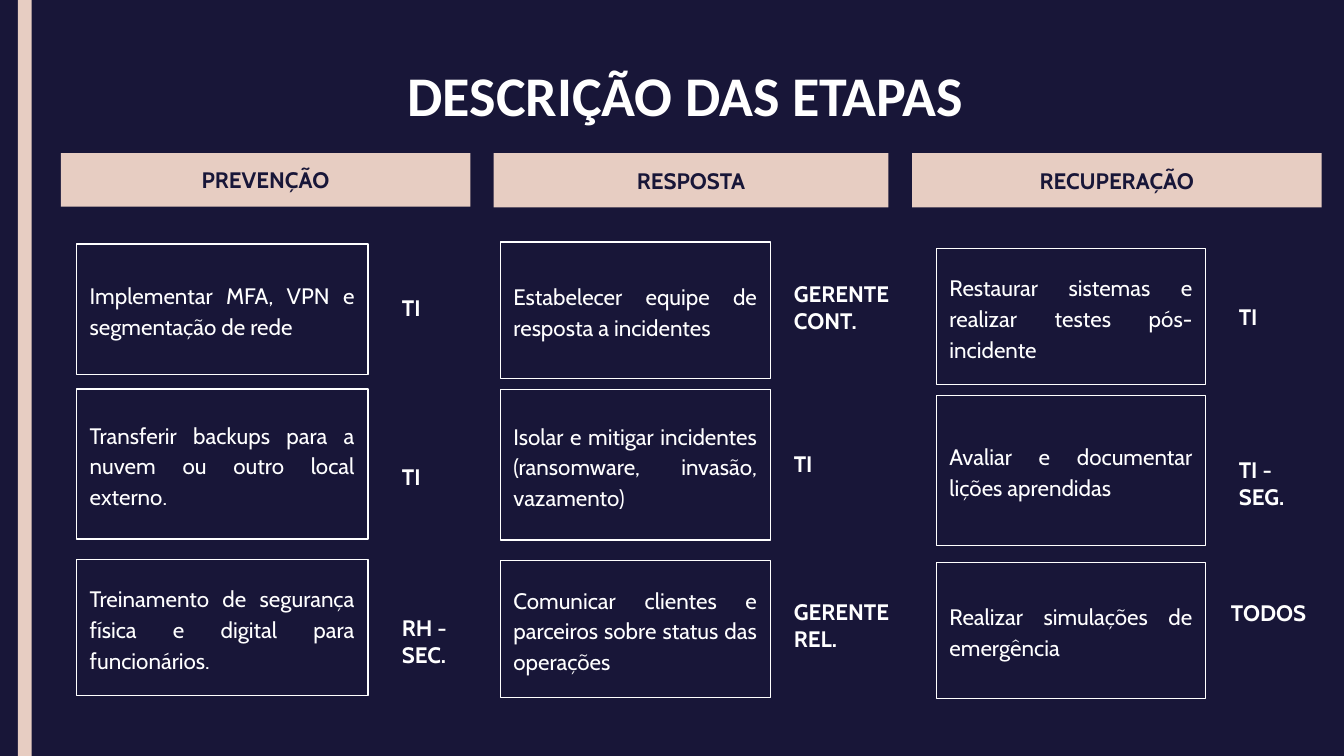
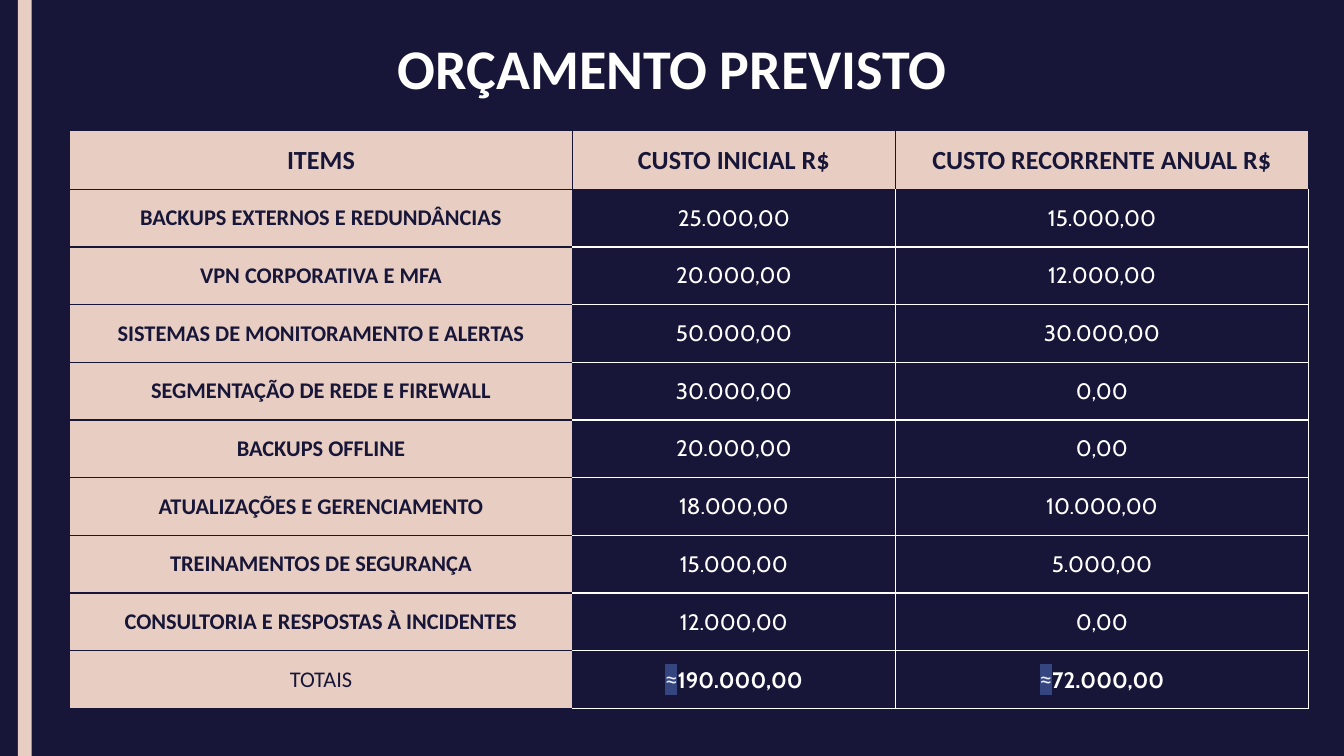
import lxml.etree
import pptx
import pptx.dml.color
import pptx.enum.shapes
import pptx.enum.text
import pptx.oxml.ns
import pptx.util

Pt = pptx.util.Pt
ALIGN = pptx.enum.text.PP_ALIGN
ANCHOR = pptx.enum.text.MSO_ANCHOR

NAVY, SAND, WHITE = "181638", "E7CDC2", "FFFFFF"
PALE, HIGHLIGHT = "EEF0FF", "34457F"
HEADING_FONT, BODY_FONT = "Calibri", "Cabin"
LINE_WIDTH = 0.75
LABEL_WIDTH = 46

# Step: text, top, height, then owner, label left shift, label top, label width
STAGES = [
    {"name": "PREVENÇÃO", "header": (32.6, 82, 219.4, 28.8),
     "box_left": 41, "box_width": 156.2, "label_left": 208.2,
     "steps": [
         ("Implementar MFA, VPN e segmentação de rede", 130.8, 70,
          "TI", 0, 150.4, LABEL_WIDTH),
         ("Transferir backups para a nuvem ou outro local externo.", 208.4, 80.4,
          "TI", 0, 241, LABEL_WIDTH),
         ("Treinamento de segurança física e digital para funcionários.", 299.8, 72.8,
          "RH - SEC.", 0, 322, LABEL_WIDTH)]},
    {"name": "RESPOSTA", "header": (264.4, 82, 211.6, 29.2),
     "box_left": 268, "box_width": 144.8, "label_left": 418.2,
     "steps": [
         ("Estabelecer equipe de resposta a incidentes", 129.6, 73.2,
          "GERENTE\nCONT.", 0, 142.8, 70.6),
         ("Isolar e mitigar incidentes (ransomware, invasão, vazamento)", 208.8, 80.6,
          "TI", 0, 234, LABEL_WIDTH),
         ("Comunicar clientes e parceiros sobre status das operações", 300.4, 73.2,
          "GERENTE\nREL.", 0, 313.2, 70.6)]},
    {"name": "RECUPERAÇÃO", "header": (488.6, 82, 219.4, 29.2),
     "box_left": 501.6, "box_width": 144.4, "label_left": 656.6,
     "steps": [
         ("Restaurar sistemas e realizar testes pós-incidente", 133, 73.2,
          "TI", 0, 155, LABEL_WIDTH),
         ("Avaliar e documentar lições aprendidas", 211.8, 80.4,
          "TI -\nSEG.", 0, 237.4, LABEL_WIDTH),
         ("Realizar simulações de emergência", 301.2, 73,
          "TODOS", -4.2, 314, 62.6)]},
]

BUDGET = [
    ("ITEMS", "CUSTO INICIAL R$", "CUSTO RECORRENTE ANUAL R$"),
    ("BACKUPS EXTERNOS E REDUNDÂNCIAS", "25.000,00", "15.000,00"),
    ("VPN CORPORATIVA E MFA", "20.000,00", "12.000,00"),
    ("SISTEMAS DE MONITORAMENTO E ALERTAS", "50.000,00", "30.000,00"),
    ("SEGMENTAÇÃO DE REDE E FIREWALL", "30.000,00", "0,00"),
    ("BACKUPS OFFLINE", "20.000,00", "0,00"),
    ("ATUALIZAÇÕES E GERENCIAMENTO", "18.000,00", "10.000,00"),
    ("TREINAMENTOS DE SEGURANÇA", "15.000,00", "5.000,00"),
    ("CONSULTORIA E RESPOSTAS À INCIDENTES", "12.000,00", "0,00"),
    ("TOTAIS", "190.000,00", "72.000,00"),
]
BUDGET_LEFT, BUDGET_TOP = 37.4, 70
BUDGET_COLUMNS = (269.2, 173.2, 221.2)
BUDGET_ROW = 30.9


def rgb(color):
    return pptx.dml.color.RGBColor.from_string(color)


def style_run(r, size, font, color, bold=False):
    r.font.size = Pt(size)
    r.font.name = font
    r.font.bold = bold
    r.font.color.rgb = rgb(color)


def write(tf, text, size, font, color, bold=False, align=ALIGN.LEFT, spacing=1.0):
    """Fill the first paragraph; a newline in the text is a line break."""
    p = tf.paragraphs[0]
    p.text = text
    p.alignment = align
    p.line_spacing = spacing
    for r in p.runs:
        style_run(r, size, font, color, bold)


def set_frame(tf, anchor, vertical_margin):
    tf.word_wrap = True
    tf.auto_size = pptx.enum.text.MSO_AUTO_SIZE.NONE
    tf.vertical_anchor = anchor
    tf.margin_left = tf.margin_right = Pt(7.2)
    tf.margin_top = tf.margin_bottom = Pt(vertical_margin)


def add_rect(slide, left, top, width, height, fill=None, line=None):
    sp = slide.shapes.add_shape(pptx.enum.shapes.MSO_SHAPE.RECTANGLE,
                                Pt(left), Pt(top), Pt(width), Pt(height))
    sp.shadow.inherit = False
    if fill:
        sp.fill.solid()
        sp.fill.fore_color.rgb = rgb(fill)
    else:
        sp.fill.background()
    if line:
        sp.line.color.rgb = rgb(line)
        sp.line.width = Pt(LINE_WIDTH)
    else:
        sp.line.fill.background()
    set_frame(sp.text_frame, ANCHOR.MIDDLE, 1.4)
    return sp


def add_slide(prs, title, left, top, width):
    """Add a slide with the side band and a centred title."""
    slide = prs.slides.add_slide(prs.slide_layouts[5])
    add_rect(slide, 9.6, 0, 7.4, 405, fill=SAND)
    sp = slide.shapes.title
    sp.left, sp.top, sp.width, sp.height = Pt(left), Pt(top), Pt(width), Pt(45.4)
    set_frame(sp.text_frame, ANCHOR.TOP, 7.2)
    write(sp.text_frame, title, 30, HEADING_FONT, WHITE, True, ALIGN.CENTER)
    return slide


def add_label(slide, text, left, top, width):
    height = 43 if "\n" in text or " " in text else 29
    sp = slide.shapes.add_textbox(Pt(left), Pt(top), Pt(width), Pt(height))
    set_frame(sp.text_frame, ANCHOR.TOP, 7.2)
    write(sp.text_frame, text, 12, BODY_FONT, WHITE, True)


def add_stage(slide, stage):
    header = add_rect(slide, *stage["header"], fill=SAND)
    write(header.text_frame, stage["name"], 12, BODY_FONT, NAVY, True, ALIGN.CENTER)
    for text, top, height, owner, shift, label_top, label_width in stage["steps"]:
        box = add_rect(slide, stage["box_left"], top, stage["box_width"], height,
                       line=WHITE)
        write(box.text_frame, text, 12, BODY_FONT, WHITE,
              align=ALIGN.JUSTIFY, spacing=1.15)
        add_label(slide, owner, stage["label_left"] + shift, label_top, label_width)


def add_color_element(parent, tag, color):
    child = lxml.etree.SubElement(parent, pptx.oxml.ns.qn(tag))
    lxml.etree.SubElement(child, pptx.oxml.ns.qn("a:srgbClr"), val=color)
    return child


def set_borders(cell, left, right, top, bottom):
    tc_pr = cell._tc.get_or_add_tcPr()
    for i, (side, color) in enumerate(zip("LRTB", (left, right, top, bottom))):
        ln = lxml.etree.Element(pptx.oxml.ns.qn("a:ln" + side),
                                w=str(Pt(LINE_WIDTH)))
        add_color_element(ln, "a:solidFill", color)
        tc_pr.insert(i, ln)


def write_total(tf, amount):
    """Write an amount after a highlighted approximation sign."""
    write(tf, "≈", 13.5, HEADING_FONT, PALE, align=ALIGN.CENTER)
    p = tf.paragraphs[0]
    r_pr = p.runs[0]._r.get_or_add_rPr()
    highlight = add_color_element(r_pr, "a:highlight", HIGHLIGHT)
    r_pr.find(pptx.oxml.ns.qn("a:solidFill")).addnext(highlight)
    r = p.add_run()
    r.text = amount
    style_run(r, 12, BODY_FONT, WHITE, True)


def add_budget(slide):
    table = slide.shapes.add_table(
        len(BUDGET), len(BUDGET_COLUMNS), Pt(BUDGET_LEFT), Pt(BUDGET_TOP),
        Pt(sum(BUDGET_COLUMNS)), Pt(BUDGET_ROW * len(BUDGET))).table
    table.first_row = table.horz_banding = False
    for column, width in zip(table.columns, BUDGET_COLUMNS):
        column.width = Pt(width)
    last = len(BUDGET) - 1
    for i, values in enumerate(BUDGET):
        table.rows[i].height = Pt(BUDGET_ROW)
        for j, value in enumerate(values):
            cell = table.cell(i, j)
            cell.vertical_anchor = ANCHOR.MIDDLE
            cell.margin_left = cell.margin_right = Pt(7.2)
            cell.margin_top = cell.margin_bottom = Pt(7.2)
            if i == 0 or j == 0:
                cell.fill.solid()
                cell.fill.fore_color.rgb = rgb(SAND)
                set_borders(cell, NAVY, NAVY, NAVY, NAVY)
                write(cell.text_frame, value, 14 if i == 0 else 12, HEADING_FONT,
                      NAVY, i != last, ALIGN.CENTER)
                continue
            cell.fill.background()
            set_borders(cell, NAVY if j == 1 else WHITE, WHITE,
                        NAVY if i == 1 else WHITE, WHITE)
            if i == last:
                write_total(cell.text_frame, value)
            else:
                write(cell.text_frame, value, 12, BODY_FONT, WHITE,
                      align=ALIGN.CENTER)


def main():
    prs = pptx.Presentation()
    prs.slide_width, prs.slide_height = Pt(720), Pt(405)
    background = prs.slide_master.background.fill
    background.solid()
    background.fore_color.rgb = rgb(NAVY)

    stages_slide = add_slide(prs, "DESCRIÇÃO DAS ETAPAS", 38.6, 25.2, 657.4)
    for stage in STAGES:
        add_stage(stages_slide, stage)

    add_budget(add_slide(prs, "ORÇAMENTO PREVISTO", 56.6, 11, 607))
    prs.save("out.pptx")


if __name__ == "__main__":
    main()
